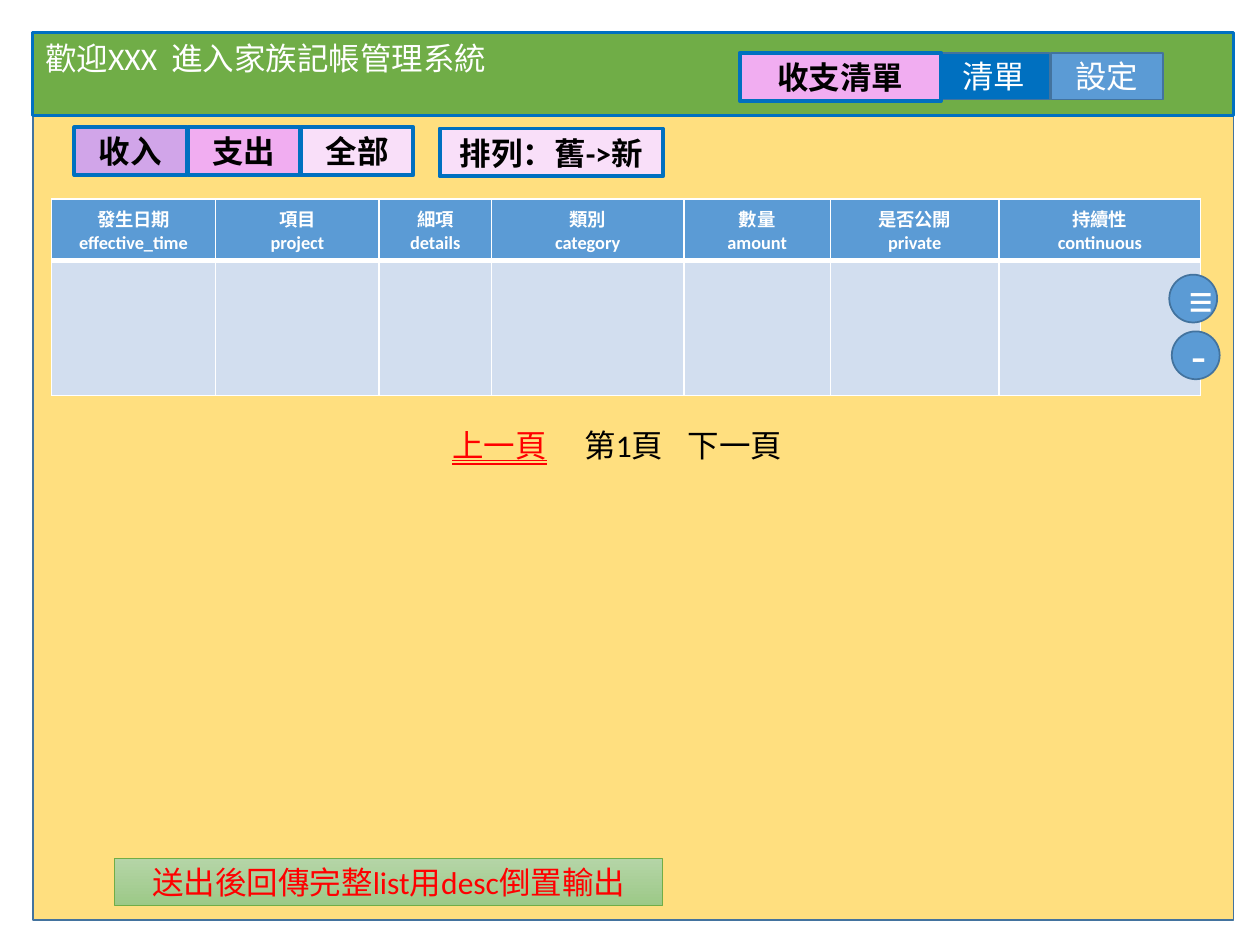
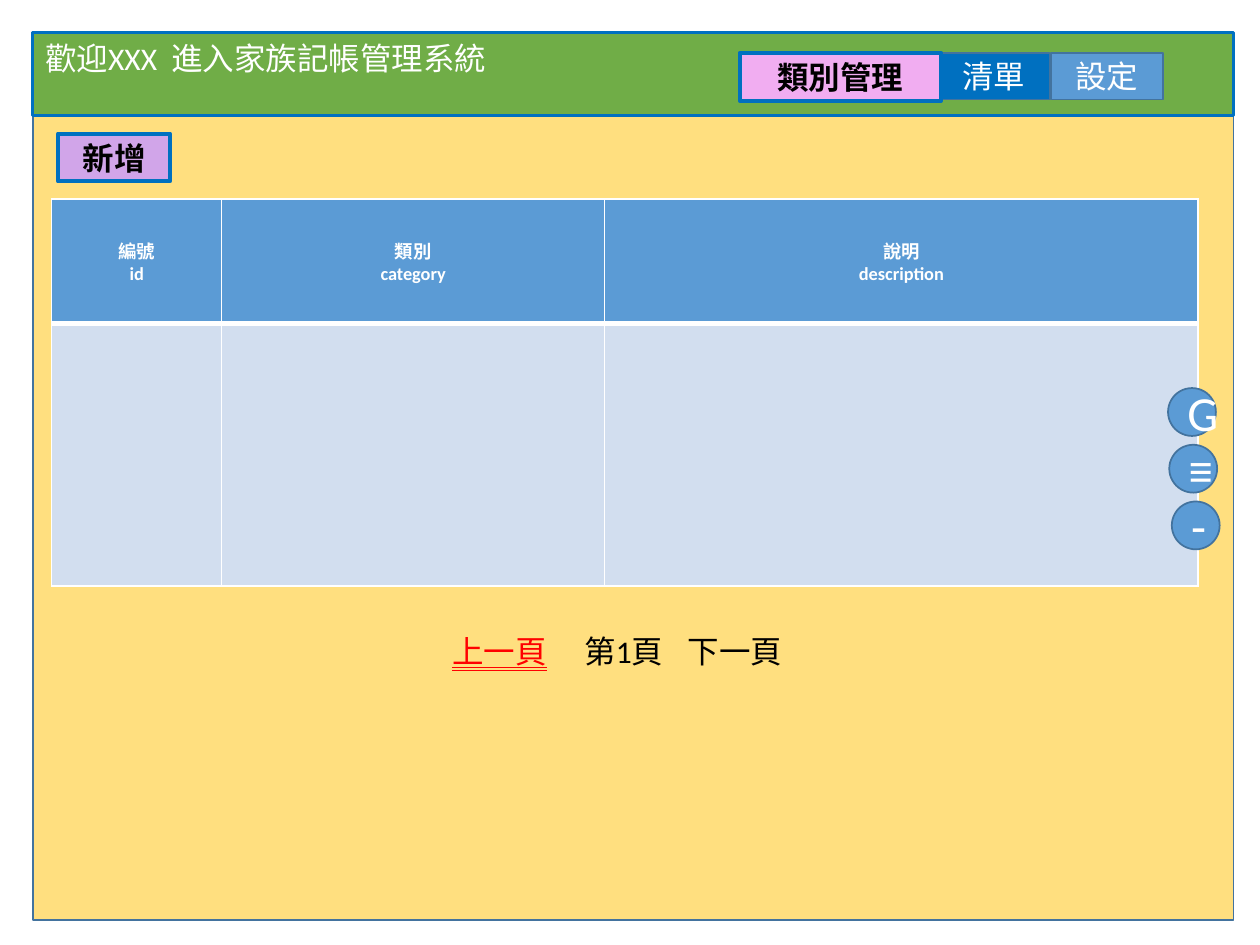
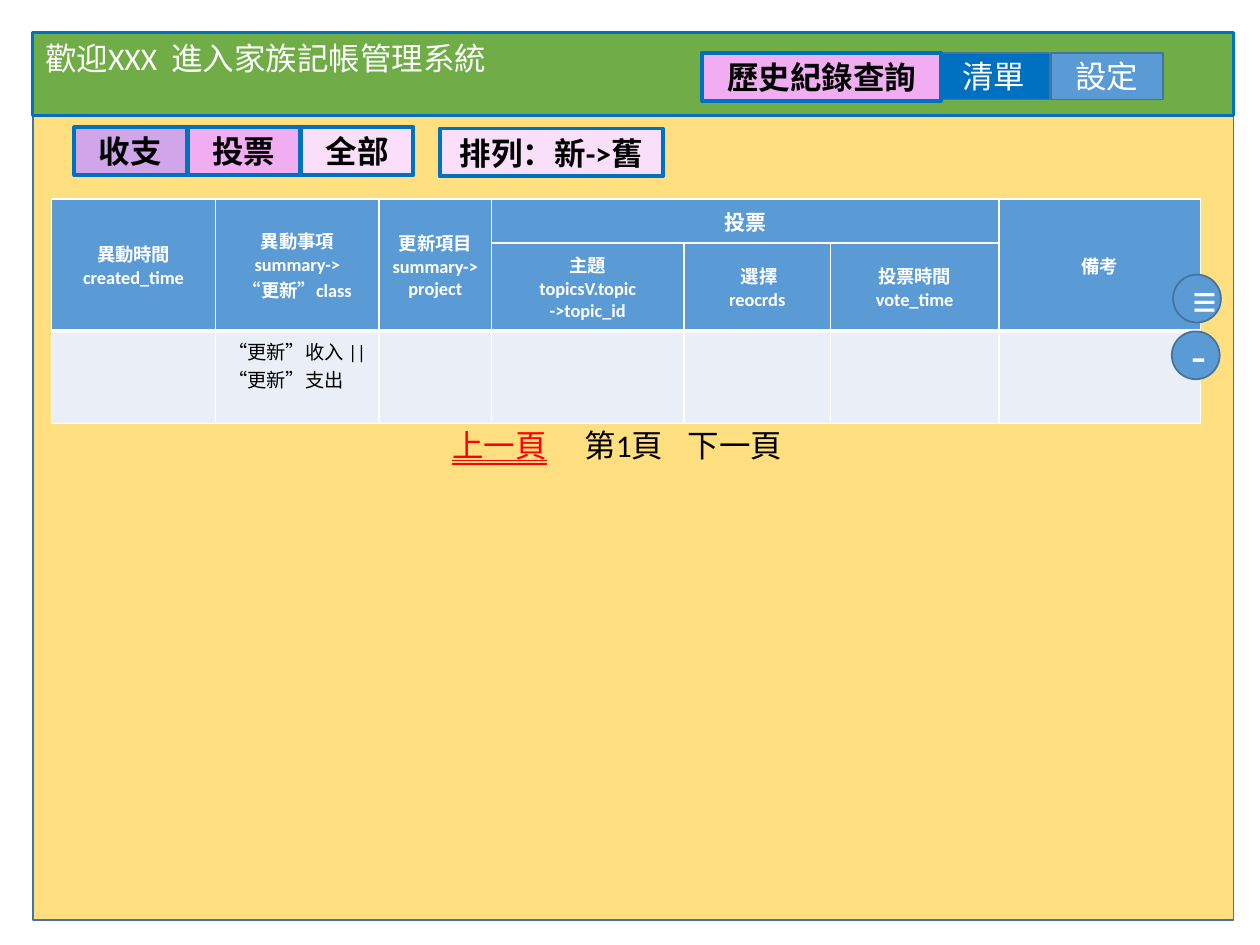
"""Build three screen mock-ups of a family bookkeeping system."""
from lxml import etree
from pptx import Presentation
from pptx.dml.color import RGBColor
from pptx.enum.shapes import MSO_SHAPE
from pptx.enum.text import MSO_ANCHOR, MSO_AUTO_SIZE, MSO_UNDERLINE, PP_ALIGN
from pptx.oxml.ns import qn
from pptx.util import Inches, Pt

RECT, OVAL = MSO_SHAPE.RECTANGLE, MSO_SHAPE.OVAL
TOP, MIDDLE = MSO_ANCHOR.TOP, MSO_ANCHOR.MIDDLE
LEFT, CENTER = PP_ALIGN.LEFT, PP_ALIGN.CENTER
FIT_SHAPE, NO_FIT = MSO_AUTO_SIZE.SHAPE_TO_FIT_TEXT, MSO_AUTO_SIZE.NONE
DOUBLE = MSO_UNDERLINE.DOUBLE_LINE

WHITE = RGBColor(0xFF, 0xFF, 0xFF)
BLACK = RGBColor(0, 0, 0)
RED = RGBColor(0xFF, 0, 0)
AMBER = RGBColor(0xFF, 0xC0, 0)
GREEN = RGBColor(0x70, 0xAD, 0x47)
GREEN_LIGHT = RGBColor(0xB5, 0xD5, 0xA7)
GREEN_MID = RGBColor(0x9C, 0xC9, 0x87)
BLUE = RGBColor(0x5B, 0x9B, 0xD5)
BLUE_EDGE = RGBColor(0x43, 0x73, 0x9E)
BLUE_STRONG = RGBColor(0, 0x70, 0xC0)
ROW_BLUE = RGBColor(0xD2, 0xDE, 0xEF)
ROW_PALE = RGBColor(0xEA, 0xEF, 0xF7)
PURPLE = RGBColor(0xD1, 0xA5, 0xE9)
PINK = RGBColor(0xF1, 0xAD, 0xF1)
PINK_PALE = RGBColor(0xF9, 0xDF, 0xF9)

FONT = "Calibri"
FRAME_X, FRAME_W = 0.26, 9.53
TITLE_RIGHT = 7.47
TAB_COLORS = (PURPLE, PINK, PINK_PALE)
LOG_COLS = (1.3, 1.3, 0.89, 1.53, 1.16, 1.34, 1.6)


class Screen:
    """Hold the shared style and the current slide."""

    def __init__(self, prs):
        self.prs = prs
        self.s = None

    def place(self, sp, x, y, w, h):
        sp.left, sp.top, sp.width, sp.height = map(Inches, (x, y, w, h))

    def paint(self, sp, fill, line, width):
        if fill is None:
            sp.fill.background()
        else:
            sp.fill.solid()
            sp.fill.fore_color.rgb = fill
        if line is None:
            sp.line.fill.background()
        else:
            sp.line.color.rgb = line
            sp.line.width = Pt(width)

    def set_text(self, tf, text, size=18, color=WHITE, bold=False,
                 align=CENTER, underline=None):
        tf.text = text
        for p in tf.paragraphs:
            p.alignment = align
            for r in p.runs:
                font = r.font
                font.name, font.size, font.bold = FONT, Pt(size), bold
                font.color.rgb = color
                font.underline = underline

    def box(self, x, y, w, h, fill=None, line=None, width=1, text="",
            shape=RECT, **style):
        sp = self.s.shapes.add_shape(shape, *map(Inches, (x, y, w, h)))
        sp.shadow.inherit = False
        self.paint(sp, fill, line, width)
        if text:
            sp.text_frame.vertical_anchor = MIDDLE
            self.set_text(sp.text_frame, text, **style)
        return sp

    def start(self, title, title_w=1.6):
        self.s = self.prs.slides.add_slide(self.prs.slide_layouts[5])
        back = self.box(FRAME_X, 0.93, FRAME_W, 6.37, AMBER)
        color = back.element.spPr.find(qn("a:solidFill"))[0]
        etree.SubElement(color, qn("a:alpha")).set("val", "50000")
        self.box(FRAME_X, 0.26, FRAME_W, 7.04, None, BLUE_EDGE)
        band = self.box(FRAME_X, 0.26, FRAME_W, 0.66, GREEN, BLUE_STRONG, 1.5,
                        "歡迎XXX  進入家族記帳管理系統", align=LEFT)
        band.text_frame.vertical_anchor = TOP
        self.box(8.34, 0.42, 0.89, 0.37, BLUE, BLUE_EDGE, text="設定")
        self.box(7.44, 0.42, 0.89, 0.37, BLUE_STRONG, BLUE_EDGE, text="清單")
        self.title(title, title_w)

    def title(self, text, w):
        sp = self.s.shapes.title
        self.place(sp, TITLE_RIGHT - w, 0.42, w, 0.38)
        self.paint(sp, PINK, BLUE_STRONG, 2.25)
        tf = sp.text_frame
        tf.auto_size, tf.vertical_anchor = NO_FIT, MIDDLE
        self.set_text(tf, text, color=BLACK, bold=True)
        sp.element.getparent().append(sp.element)

    def tab(self, text, x, y, fill, w=0.89):
        self.box(x, y, w, 0.38, fill, BLUE_STRONG, 2.25, text,
                 color=BLACK, bold=True)

    def filters(self, names, order):
        for i, (name, fill) in enumerate(zip(names, TAB_COLORS)):
            self.tab(name, 0.59 + 0.9 * i, 1.01, fill)
        self.tab(order, 3.49, 1.02, PINK_PALE, 1.77)

    def borders(self, cell, top, bottom):
        tcPr = cell._tc.get_or_add_tcPr()
        edges = (("a:lnL", 1), ("a:lnR", 1), ("a:lnT", top), ("a:lnB", bottom))
        for i, (tag, width) in enumerate(edges):
            ln = etree.Element(qn(tag), w=str(Pt(width)))
            fill = etree.SubElement(ln, qn("a:solidFill"))
            etree.SubElement(fill, qn("a:srgbClr"), val=str(WHITE))
            tcPr.insert(i, ln)

    def table(self, cols, heights, header, body_fill, merges=()):
        frame = self.s.shapes.add_table(
            len(heights), len(cols), Inches(0.41), Inches(1.58),
            Inches(sum(cols)), Inches(sum(heights)))
        table = frame.table
        for col, w in zip(table.columns, cols):
            col.width = Inches(w)
        for row, h in zip(table.rows, heights):
            row.height = Inches(h)
        for first, last in merges:
            table.cell(*first).merge(table.cell(*last))
        n = len(header)
        for r in range(len(heights)):
            for c in range(len(cols)):
                cell = table.cell(r, c)
                cell.fill.solid()
                cell.fill.fore_color.rgb = BLUE if r < n else body_fill
                self.borders(cell, 3 if r == n else 1,
                             3 if r + cell.span_height == n else 1)
                if r < n and header[r][c]:
                    cell.vertical_anchor = MIDDLE
                    self.set_text(cell.text_frame, header[r][c], 10.5,
                                  bold=True)
        return table

    def label(self, text, x, y, color=BLACK, underline=None):
        sp = self.s.shapes.add_textbox(*map(Inches, (x, y, 1.02, 0.4)))
        tf = sp.text_frame
        tf.word_wrap, tf.auto_size = True, FIT_SHAPE
        self.set_text(tf, text, color=color, align=LEFT, underline=underline)

    def pager(self, y):
        self.label("下一頁", 5.36, y)
        self.label("第1頁", 4.54, y)
        self.label("上一頁", 3.49, y, RED, DOUBLE)

    def circles(self, y, *marks):
        for i, (mark, x) in enumerate(marks):
            self.box(x, y + 0.45 * i, 0.38, 0.38, BLUE, BLUE_EDGE, 1, mark,
                     OVAL, size=28)

    def note(self, text):
        sp = self.box(0.91, 6.81, 4.35, 0.38, GREEN, GREEN, 0.5, text,
                      color=RED)
        sp.fill.gradient()
        sp.fill.gradient_angle = 270
        for stop, color in zip(sp.fill.gradient_stops,
                               (GREEN_LIGHT, GREEN_MID)):
            stop.color.rgb = color


def ledger(scr):
    """Draw the income and expense list."""
    scr.start("收支清單")
    scr.filters(("收入", "支出", "全部"), "排列：舊->新")
    header = ("發生日期\neffective_time", "項目\nproject", "細項\ndetails",
              "類別\ncategory", "數量\namount", "是否公開\nprivate",
              "持續性\ncontinuous")
    scr.table(LOG_COLS, (0.4, 1.07), (header,), ROW_BLUE)
    scr.pager(3.33)
    scr.circles(2.18, ("≡", 9.28), ("-", 9.3))
    scr.note("送出後回傳完整list用desc倒置輸出")


def categories(scr):
    """Draw the category manager."""
    scr.start("類別管理")
    scr.tab("新增", 0.46, 1.06, PURPLE)
    header = ("編號\nid", "類別\ncategory", "說明\ndescription")
    scr.table((1.35, 3.04, 4.71), (0.99, 2.08), (header,), ROW_BLUE)
    scr.pager(4.97)
    scr.circles(3.08, ("G", 9.27), ("≡", 9.28), ("-", 9.3))


def history(scr):
    """Draw the history query."""
    scr.start("歷史紀錄查詢", 1.9)
    scr.filters(("收支", "投票", "全部"), "排列：新->舊")
    header = (
        ("異動時間\ncreated_time", "異動事項\nsummary->\v“更新”class",
         "更新項目\nsummary->\vproject", "投票", "", "", "備考"),
        ("", "", "", "主題\ntopicsV.topic\n->topic_id", " 選擇\nreocrds",
         "投票時間\nvote_time", ""))
    merges = [((0, c), (1, c)) for c in (0, 1, 2, 6)] + [((0, 3), (0, 5))]
    table = scr.table(LOG_COLS, (0.35, 0.54, 0.47), header, ROW_PALE, merges)
    scr.set_text(table.cell(0, 3).text_frame, "投票", 12, bold=True)
    scr.set_text(table.cell(2, 1).text_frame, "“更新”收入 ||\n“更新”支出",
                 11, BLACK, align=LEFT)
    scr.pager(3.33)
    scr.circles(2.18, ("≡", 9.31), ("-", 9.3))


def main():
    """Build and save the deck."""
    prs = Presentation()
    prs.slide_width, prs.slide_height = Inches(10), Inches(7.5)
    scr = Screen(prs)
    for draw in (ledger, categories, history):
        draw(scr)
    prs.save("out.pptx")


main()
